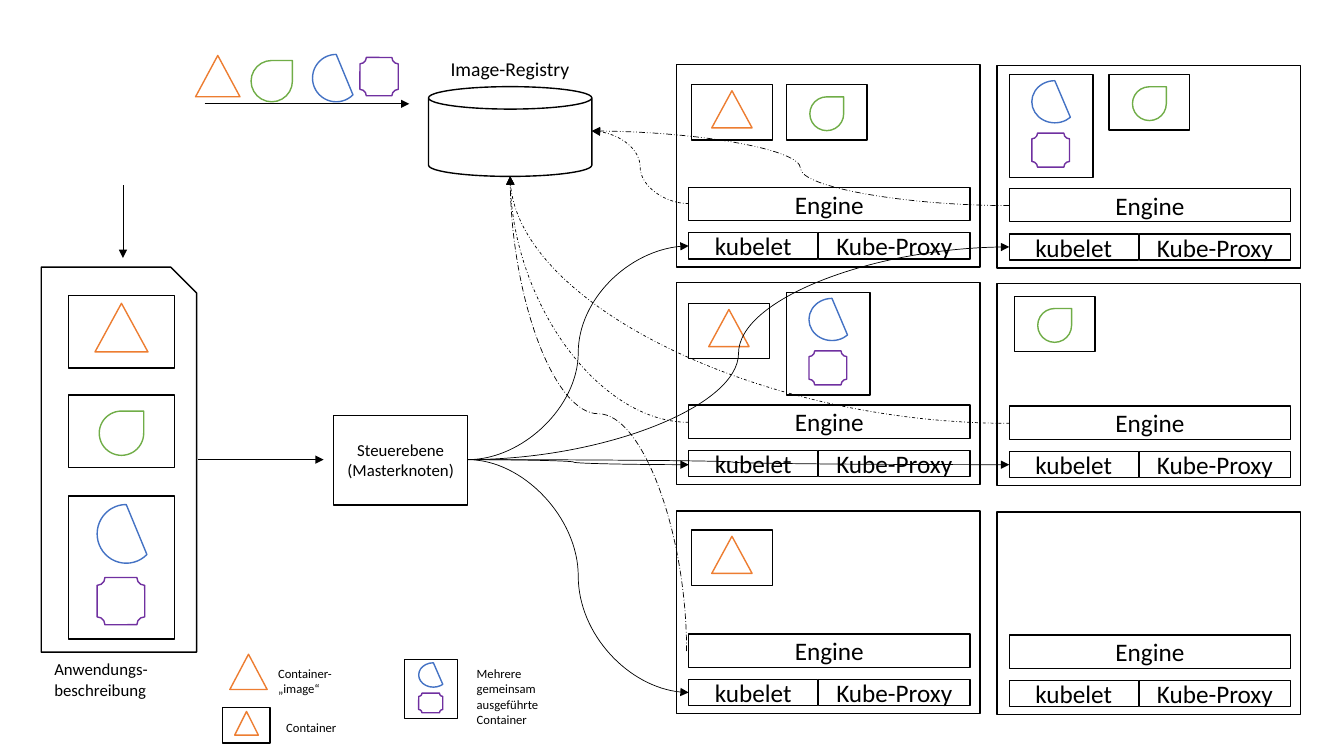
"""Draw a container cluster with its image registry, control plane and nodes."""
from dataclasses import dataclass

from lxml import etree
from pptx import Presentation
from pptx.dml.color import RGBColor
from pptx.enum import dml, shapes, text
from pptx.oxml.ns import qn
from pptx.util import Inches, Pt

SHAPE = shapes.MSO_SHAPE
DASH = dml.MSO_LINE


@dataclass(frozen=True)
class Theme:
    """Hold the colours, font and sizes of the slide."""
    font: str = "Calibri"
    ink: str = "000000"
    paper: str = "FFFFFF"
    orange: str = "ED7D31"
    green: str = "70AD47"
    blue: str = "4472C4"
    purple: str = "7030A0"
    service: int = 18
    heading: int = 14
    label: int = 12
    legend: int = 9
    outline: float = 1
    arrow: float = 0.5


THEME = Theme()
IMAGES = {
    "triangle": (SHAPE.ISOSCELES_TRIANGLE, THEME.orange),
    "teardrop": (SHAPE.TEAR, THEME.green),
    "chord": (SHAPE.CHORD, THEME.blue),
    "plaque": (SHAPE.PLAQUE, THEME.purple),
}
CONTENTS = {
    "triangle": [("triangle", 0.25, 0.11, 0.5, 0.67)],
    "teardrop": [("teardrop", 0.29, 0.22, 0.42, 0.61)],
    "pod": [("chord", 0.27, 0.06, 0.55, 0.41), ("plaque", 0.27, 0.57, 0.45, 0.33)],
}
SINGLE, POD = (0.8, 0.55), (0.83, 1.02)
REGISTRY_SIDE, REGISTRY_BASE = (5.87, 1.3), (5.06, 1.75)
MASTER = (4.64, 4.56)


def write(shape, words, size=THEME.label, align=text.PP_ALIGN.LEFT, anchor=text.MSO_ANCHOR.TOP):
    """Put formatted words into a shape."""
    frame = shape.text_frame
    frame.word_wrap = True
    frame.vertical_anchor = anchor
    paragraph = frame.paragraphs[0]
    paragraph.text = words
    paragraph.alignment = align
    for run in paragraph.runs:
        run.font.name = THEME.font
        run.font.size = Pt(size)
        run.font.color.rgb = RGBColor.from_string(THEME.ink)


def add_label(parent, words, left, top, width, height, size):
    """Add free-standing text."""
    box = parent.shapes.add_textbox(*map(Inches, (left, top, width, height)))
    write(box, words, size=size)


def add_outline(parent, kind, left, top, width, height, colour=THEME.ink):
    """Add an outlined preset shape."""
    shape = parent.shapes.add_shape(kind, *map(Inches, (left, top, width, height)))
    shape.shadow.inherit = False
    shape.fill.solid()
    shape.fill.fore_color.rgb = RGBColor.from_string(THEME.paper)
    shape.line.color.rgb = RGBColor.from_string(colour)
    shape.line.width = Pt(THEME.outline)
    return shape


def add_box(parent, words, left, top, width, height, size):
    """Add a rectangle with centred words."""
    box = add_outline(parent, SHAPE.RECTANGLE, left, top, width, height)
    write(box, words, size=size, align=text.PP_ALIGN.CENTER, anchor=text.MSO_ANCHOR.MIDDLE)


def add_image(parent, name, left, top, width, height):
    """Add the symbol of one container image."""
    kind, colour = IMAGES[name]
    add_outline(parent, kind, left, top, width, height, colour)


def add_container(slide, content, left, top, width, height):
    """Add a framed container or pod with symbols in proportion."""
    group = slide.shapes.add_group_shape()
    add_outline(group, SHAPE.RECTANGLE, left, top, width, height)
    for name, x, y, w, h in CONTENTS[content]:
        add_image(group, name, left + x * width, top + y * height, w * width, h * height)


def add_node(slide, left, top):
    """Add a worker node with its services."""
    group = slide.shapes.add_group_shape()
    add_outline(group, SHAPE.RECTANGLE, left, top, 3.01, 2.01)
    for words, x, y, width, height in (
        ("Engine", 0.12, 1.22, 2.79, 0.33),
        ("kubelet", 0.12, 1.67, 1.28, 0.26),
        ("Kube-Proxy", 1.41, 1.67, 1.5, 0.26),
    ):
        add_box(group, words, left + x, top + y, width, height, THEME.service)


def add_arrow(slide, start, end, kind=shapes.MSO_CONNECTOR.CURVE, dash=None,
              bend=None, quarter=False, upright=False):
    """Add an arrow, optionally dashed, bent once or leaving vertically."""
    (x1, y1), (x2, y2) = start, end
    if upright:
        mid_x, mid_y = (x1 + x2) / 2, (y1 + y2) / 2
        run, rise = abs(y2 - y1) / 2, abs(x2 - x1) / 2
        x1, y1, x2, y2 = mid_x - run, mid_y + rise, mid_x + run, mid_y - rise
    arrow = slide.shapes.add_connector(kind, *map(Inches, (x1, y1, x2, y2)))
    arrow.line.color.rgb = RGBColor.from_string(THEME.ink)
    arrow.line.width = Pt(THEME.arrow)
    if dash:
        arrow.line.dash_style = dash
    properties = arrow._element.spPr
    etree.SubElement(properties.find(qn("a:ln")), qn("a:tailEnd"), type="triangle")
    etree.SubElement(properties, qn("a:effectLst"))
    geometry = properties.find(qn("a:prstGeom"))
    if upright:
        properties.find(qn("a:xfrm")).set("rot", "16200000")
    if quarter:
        geometry.set("prst", "curvedConnector2")
    if bend:
        guides = geometry.find(qn("a:avLst"))
        etree.SubElement(guides, qn("a:gd"), name="adj1", fmla=f"val {round(bend * 100000)}")


def add_application(slide):
    """Add the application description, registry and control plane."""
    add_outline(slide, SHAPE.CAN, 4.25, 0.86, 1.62, 0.89)
    add_label(slide, "Image-Registry", 4.37, 0.52, 1.62, 0.34, THEME.heading)
    add_outline(slide, SHAPE.SNIP_1_RECTANGLE, 0.41, 2.65, 1.54, 3.82)
    add_label(slide, "Anwendungs-beschreibung", 0.44, 6.49, 1.53, 0.5, THEME.label)
    add_box(slide, "Steuerebene\v(Masterknoten)", 3.31, 4.12, 1.33, 0.89, THEME.label)
    for content, top, height in (("triangle", 2.93, 0.72), ("teardrop", 3.92, 0.72), ("pod", 4.92, 1.42)):
        add_container(slide, content, 0.68, top, 1.05, height)
    for image in (("triangle", 1.94, 0.55, 0.44, 0.41), ("teardrop", 2.49, 0.6, 0.41, 0.41),
                  ("chord", 3.1, 0.54, 0.47, 0.47), ("plaque", 3.57, 0.57, 0.38, 0.38)):
        add_image(slide, *image)
    for start, end in (((2.03, 1.03), (4.06, 1.03)), ((1.22, 1.84), (1.22, 2.56)),
                       ((1.96, 4.56), (3.21, 4.56))):
        add_arrow(slide, start, end, kind=shapes.MSO_CONNECTOR.STRAIGHT)


def add_cluster(slide):
    """Add the nodes and the containers they run."""
    for column in range(2):
        for top in (0.64, 2.8, 5.07):
            add_node(slide, 6.71 + 3.18 * column, top + 0.01 * column)
    for content, left, top in (
        ("triangle", 6.86, 0.84), ("teardrop", 7.8, 0.84), ("pod", 10.01, 0.74),
        ("teardrop", 11, 0.74), ("triangle", 6.83, 3.01), ("pod", 7.8, 2.9),
        ("teardrop", 10.06, 2.94), ("triangle", 6.86, 5.26),
    ):
        add_container(slide, content, left, top, *(POD if content == "pod" else SINGLE))


def add_legend(slide):
    """Add the explanation of the symbols."""
    add_image(slide, "triangle", 2.28, 6.49, 0.37, 0.35)
    add_container(slide, "triangle", 2.21, 7.02, 0.47, 0.35)
    add_container(slide, "pod", 4.01, 6.54, 0.53, 0.59)
    for words, left, top, height in (
        ("Container-„image“", 2.66, 6.56, 0.21),
        ("Container", 2.74, 7.09, 0.21),
        ("Mehrere gemeinsam ausgeführte Container", 4.63, 6.56, 0.6),
    ):
        add_label(slide, words, left, top, 1.06, height, THEME.legend)


def add_links(slide):
    """Connect the control plane to the nodes and the nodes to the registry."""
    for kubelet, bend in (((6.83, 2.44), None), ((6.83, 4.61), 0.48), ((6.83, 6.87), None),
                          ((10.01, 2.45), None), ((10.01, 4.61), 0.49)):
        add_arrow(slide, MASTER, kubelet, bend=bend)
    add_arrow(slide, (10.01, 2.04), REGISTRY_SIDE, dash=DASH.DASH_DOT_DOT)
    add_arrow(slide, (6.83, 2.02), REGISTRY_SIDE, dash=DASH.DASH_DOT)
    for engine in ((10.01, 4.2), (6.83, 4.19)):
        add_arrow(slide, engine, REGISTRY_BASE, dash=DASH.DASH_DOT, quarter=True)
    add_arrow(slide, (6.81, 6.46), REGISTRY_BASE, dash=DASH.LONG_DASH_DOT, upright=True)


def main():
    """Build and save the slide."""
    deck = Presentation()
    deck.slide_width, deck.slide_height = Inches(13.33), Inches(7.5)
    slide = deck.slides.add_slide(deck.slide_layouts.get_by_name("Blank"))
    add_application(slide)
    add_cluster(slide)
    add_legend(slide)
    add_links(slide)
    deck.save("out.pptx")


main()
